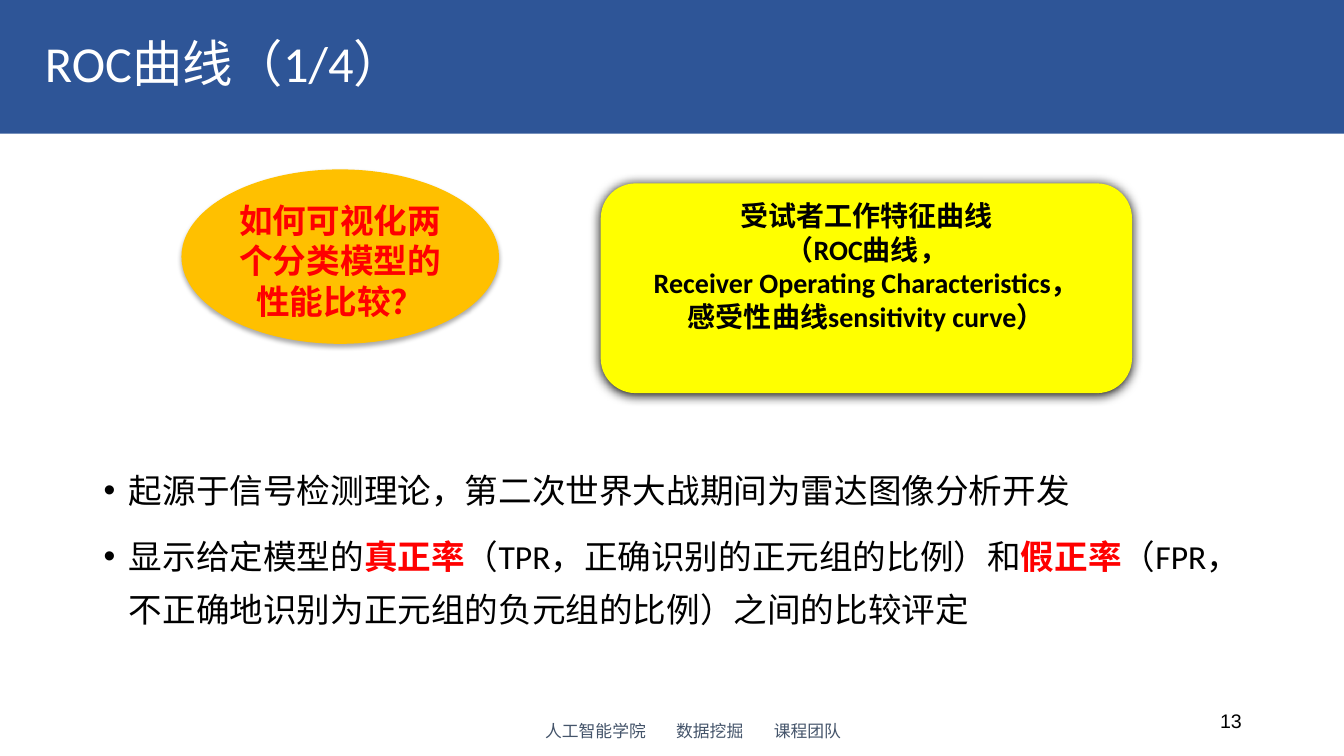
from lxml.etree import SubElement
from pptx import Presentation
from pptx.dml.color import RGBColor
from pptx.enum.shapes import MSO_SHAPE as SHAPE
from pptx.enum.text import MSO_ANCHOR as ANCHOR, PP_ALIGN as ALIGN
from pptx.oxml.ns import qn
from pptx.util import Pt

COLORS = {
    "banner": "2E5597", "white": "FFFFFF", "black": "000000", "red": "FF0000",
    "yellow": "FFFF00", "orange": "FFC000", "footer": "44546A",
}


def rgb(name):
    return RGBColor.from_string(COLORS[name])


def add_box(s, box, kind=None, fill=None, anchor=ANCHOR.TOP):
    place = [Pt(v) for v in box]
    if kind is None:
        sp = s.shapes.add_textbox(*place)
    else:
        sp = s.shapes.add_shape(kind, *place)
        sp.shadow.inherit = False
        sp.line.fill.background()
    if fill:
        sp.fill.solid()
        sp.fill.fore_color.rgb = rgb(fill)
    tf = sp.text_frame
    tf.word_wrap = True
    tf.vertical_anchor = anchor
    return sp


def add_shadow(sp, alpha, blur, dist):
    effects = sp._element.spPr.find(qn("a:effectLst"))
    outer = SubElement(effects, qn("a:outerShdw"), blurRad=str(Pt(blur)),
                       dist=str(Pt(dist)), dir="5400000", rotWithShape="0")
    color = SubElement(outer, qn("a:srgbClr"), val=COLORS["black"])
    SubElement(color, qn("a:alpha"), val=str(alpha * 1000))


def add_run(p, text, color, **fmt):
    r = p.add_run()
    r.text = text
    for key, value in {"name": "Calibri", "bold": False, **fmt}.items():
        setattr(r.font, key, value)
    r.font.color.rgb = rgb(color)


def write_lines(sp, lines, color, align=ALIGN.LEFT, **fmt):
    tf = sp.text_frame
    for i, line in enumerate(lines):
        p = tf.paragraphs[0] if i == 0 else tf.add_paragraph()
        p.alignment = align
        add_run(p, line, color, **fmt)


def add_header(s, box, title):
    x, y, w, h = box
    add_box(s, box, SHAPE.RECTANGLE, "banner")
    sp = add_box(s, (x + 27, y + 12, 816, 72), anchor=ANCHOR.MIDDLE)
    write_lines(sp, [title], "white", size=Pt(36))
    sp.text_frame.paragraphs[0].line_spacing = 0.9


def add_callout(s, box, kind, fill, shadow, lines, color, size):
    sp = add_box(s, box, kind, fill)
    add_shadow(sp, *shadow)
    write_lines(sp, lines, color, ALIGN.CENTER, size=Pt(size), bold=True)


def add_bullets(s, box, items):
    tf = add_box(s, box, SHAPE.RECTANGLE, "white").text_frame
    for i, runs in enumerate(items):
        p = tf.paragraphs[0] if i == 0 else tf.add_paragraph()
        pPr = p._p.get_or_add_pPr()
        pPr.set("marL", str(Pt(18)))
        pPr.set("indent", str(Pt(-18)))
        SubElement(pPr, qn("a:buFont"), typeface="Arial")
        SubElement(pPr, qn("a:buChar"), char="•")
        p.alignment = ALIGN.LEFT
        p.line_spacing = 1.3
        p.space_before = Pt(10 if i else 0)
        for text, key_term in runs:
            add_run(p, text, "red" if key_term else "black",
                    size=Pt(24), bold=key_term)


def add_footer(s, box, parts, stops, number):
    x, y, w, h = box
    sp = add_box(s, (x, y - 7, w, h), anchor=ANCHOR.MIDDLE)
    write_lines(sp, [number], "black", ALIGN.RIGHT, name="Arial", size=Pt(14))
    sp = add_box(s, (x - 345, y, 324, h), anchor=ANCHOR.MIDDLE)
    sp.text_frame.margin_left = Pt(56.2)
    pPr = sp.text_frame.paragraphs[0]._p.get_or_add_pPr()
    tabs = SubElement(pPr, qn("a:tabLst"))
    for stop in stops:
        SubElement(tabs, qn("a:tab"), pos=str(Pt(stop)), algn="l")
    write_lines(sp, ["\t".join(parts)], "footer", size=Pt(12))


def main():
    prs = Presentation()
    prs.slide_width, prs.slide_height = Pt(960), Pt(540)
    s = prs.slides.add_slide(prs.slide_layouts[6])
    add_header(s, (-2, -1, 965.5, 96.5), "ROC曲线（1/4）")
    add_bullets(s, (67, 323.3, 826.5, 149.8), [
        [("起源于信号检测理论，第二次世界大战期间为雷达图像分析开发", False)],
        [("显示给定模型的", False), ("真正率", True),
         ("（TPR，正确识别的正元组的比例）和", False), ("假正率", True),
         ("（FPR，不正确地识别为正元组的负元组的比例）之间的比较评定", False)],
    ])
    add_callout(s, (429.1, 131, 379.5, 149.8), SHAPE.ROUNDED_RECTANGLE,
                "yellow", (100, 8.5, 1),
                ["受试者工作特征曲线", "（ROC曲线，",
                 "Receiver Operating Characteristics，",
                 "感受性曲线sensitivity curve）"], "black", 20)
    add_callout(s, (129.6, 121, 226.8, 124.6), SHAPE.OVAL,
                "orange", (32, 3.5, 2.2),
                ["如何可视化两个分类模型的性能比较？"], "red", 24)
    add_footer(s, (678.2, 507.6, 216, 28.8),
               ["人工智能学院", "数据挖掘", "课程团队"], (93.6, 163.4), "13")
    prs.save("out.pptx")


if __name__ == "__main__":
    main()
